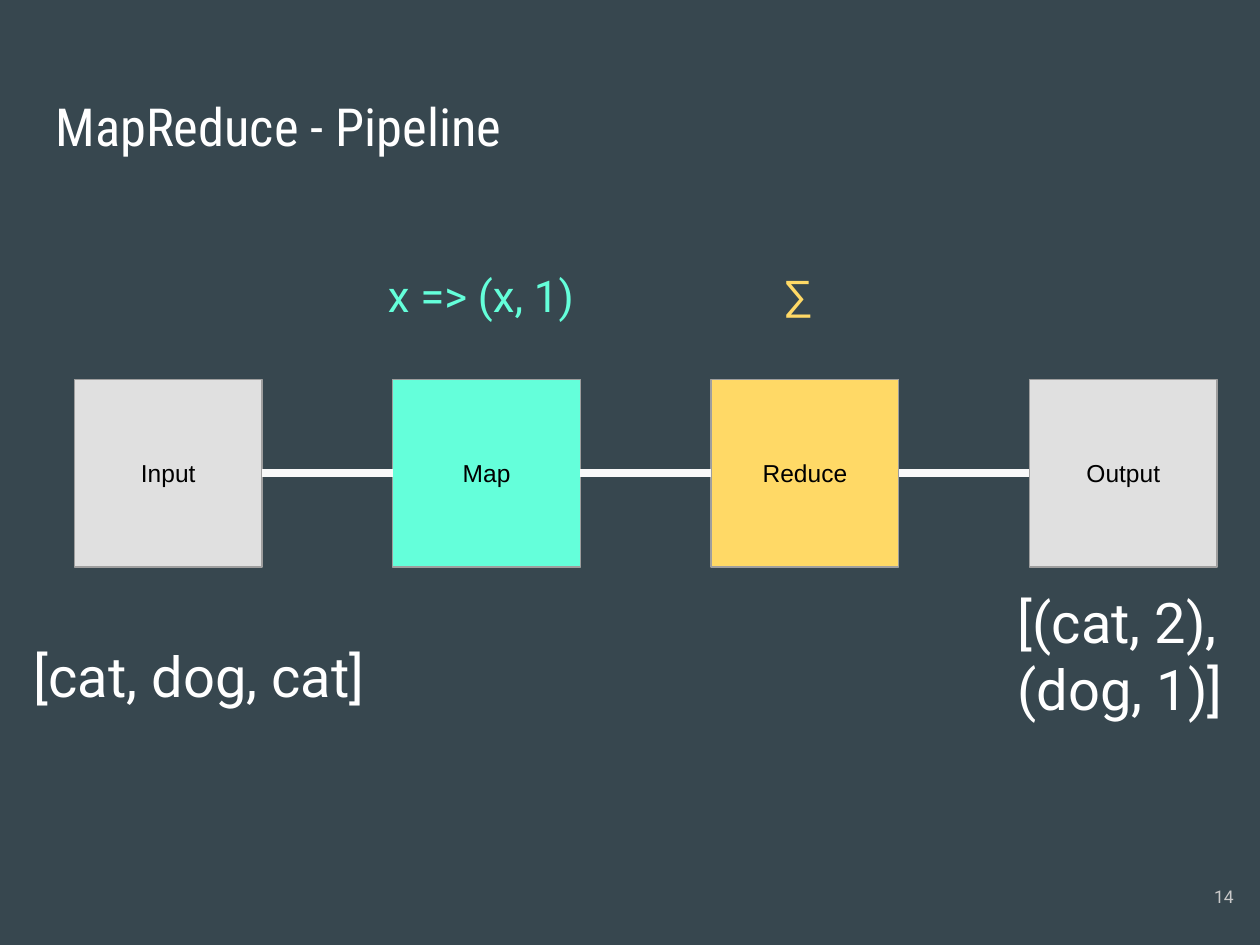
from dataclasses import dataclass

from lxml import etree
from pptx import Presentation
from pptx import util as u
from pptx.dml import color
from pptx.enum import shapes, text
from pptx.oxml import ns


@dataclass(frozen=True)
class Theme:
    background: str = "37474F"
    white: str = "FFFFFF"
    black: str = "000000"
    grey: str = "E0E0E0"
    outline: str = "9E9E9E"
    link: str = "F9F9F9"
    page: str = "CACACA"
    mint: str = "64FFDA"
    yellow: str = "FFD966"
    title_size: int = 30
    data_size: int = 32
    formula_size: int = 25
    stage_size: int = 14
    page_size: int = 10


theme = Theme()


def rgb(value):
    return color.RGBColor.from_string(value)


def write(holder, words, size, ink, font="Roboto",
          align=text.PP_ALIGN.LEFT, anchor=text.MSO_ANCHOR.TOP):
    frame = holder.text_frame
    frame.word_wrap = True
    frame.auto_size = text.MSO_AUTO_SIZE.NONE
    frame.vertical_anchor = anchor
    frame.margin_left = frame.margin_right = u.Inches(0.1)
    frame.margin_top = frame.margin_bottom = u.Inches(0.1)
    frame.text = words
    paragraph = frame.paragraphs[0]
    paragraph.alignment = align
    paragraph.space_before = u.Pt(0)
    run_font = paragraph.runs[0].font
    run_font.name = font
    run_font.size = u.Pt(size)
    run_font.color.rgb = rgb(ink)


deck = Presentation()
deck.slide_width, deck.slide_height = u.Inches(10), u.Inches(7.5)
slide = deck.slides.add_slide(deck.slide_layouts[5])
slide.background.fill.solid()
slide.background.fill.fore_color.rgb = rgb(theme.background)

# Title
title = slide.shapes.title
title.left, title.top = u.Inches(0.34), u.Inches(0.65)
title.width, title.height = u.Inches(9.32), u.Inches(0.83)
write(title, "MapReduce - Pipeline", theme.title_size, theme.white,
      font="Roboto Condensed")

# Pipeline stages, evenly spaced
first_left, last_left, stage_top, side = 0.59, 8.17, 3.01, 1.49
stage_fills = [("Input", theme.grey), ("Map", theme.mint),
               ("Reduce", theme.yellow), ("Output", theme.grey)]
step = (last_left - first_left) / (len(stage_fills) - 1)
stages = []
for index, (label, fill) in enumerate(stage_fills):
    stage = slide.shapes.add_shape(
        shapes.MSO_SHAPE.RECTANGLE, u.Inches(first_left + index * step),
        u.Inches(stage_top), u.Inches(side), u.Inches(side))
    stage.shadow.inherit = False
    stage.fill.solid()
    stage.fill.fore_color.rgb = rgb(fill)
    stage.line.color.rgb = rgb(theme.outline)
    stage.line.width = u.Pt(0.75)
    write(stage, label, theme.stage_size, theme.black, font="Arial",
          align=text.PP_ALIGN.CENTER, anchor=text.MSO_ANCHOR.MIDDLE)
    stages.append(stage)

# Links from the right side of each stage to the left side of the next
for source, target in zip(stages, stages[1:]):
    link = slide.shapes.add_connector(shapes.MSO_CONNECTOR.STRAIGHT, 0, 0, 0, 0)
    link.begin_connect(source, 3)
    link.end_connect(target, 1)
    link.line.color.rgb = rgb(theme.link)
    link.line.width = u.Pt(4.5)
    etree.SubElement(link._element.spPr, ns.qn("a:effectLst"))

# Formulas above the stages, data below them
captions = [
    ("x => (x, 1)", 2.98, 2.03, 2.14, 0.65, theme.formula_size, theme.mint),
    ("∑", 6.13, 2.03, 0.51, 0.65, theme.formula_size, theme.yellow),
    ("[cat, dog, cat]", 0.17, 4.99, 6.96, 1.15, theme.data_size, theme.white),
    ("[(cat, 2), (dog, 1)]", 7.98, 4.56, 1.9, 1.15, theme.data_size, theme.white),
]
for words, left, top, width, height, size, ink in captions:
    caption = slide.shapes.add_textbox(
        u.Inches(left), u.Inches(top), u.Inches(width), u.Inches(height))
    write(caption, words, size, ink)

# Page number
page_number = slide.shapes.add_textbox(
    u.Inches(9.29), u.Inches(6.83), u.Inches(0.6), u.Inches(0.57))
write(page_number, "14", theme.page_size, theme.page,
      align=text.PP_ALIGN.RIGHT, anchor=text.MSO_ANCHOR.MIDDLE)

deck.save("out.pptx")
